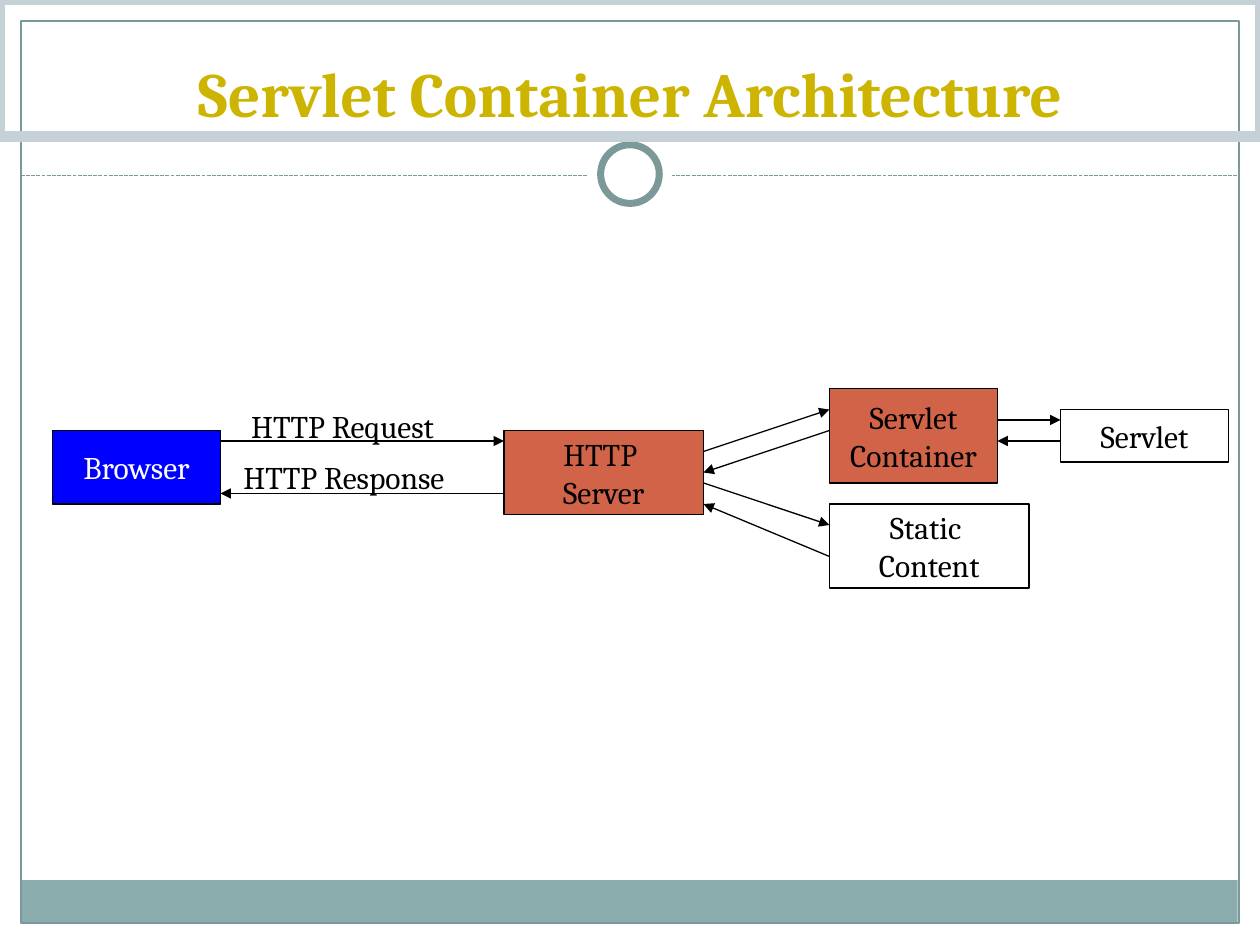
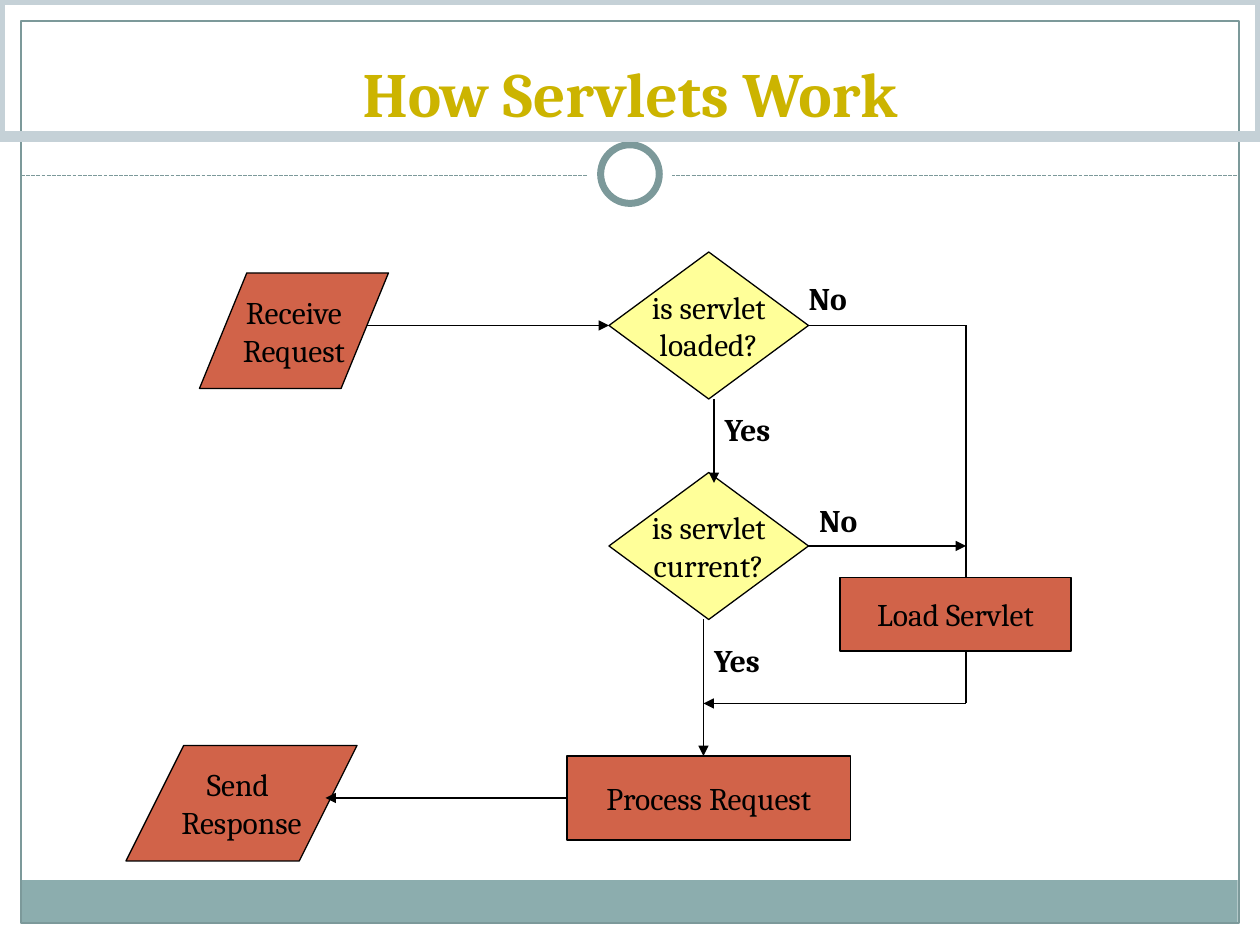
from lxml import etree
from pptx import Presentation
from pptx.dml.color import RGBColor
from pptx.enum import dml, shapes, text
from pptx.oxml.ns import qn
from pptx.util import Pt

W, H = 720, 540
FONT = "Cambria"
BLACK, WHITE, BLUE = "000000", "FFFFFF", "0000FF"
RUST, YELLOW, GOLD = "D16349", "FFFF99", "CCB400"
TEAL, BAND, GREY = "7C999A", "8CADAE", "C5D1D7"

rgb = RGBColor.from_string
KIND = shapes.MSO_SHAPE
RECT, DIAMOND, SLANT, OVAL = KIND.RECTANGLE, KIND.DIAMOND, KIND.PARALLELOGRAM, KIND.OVAL


def add_shape(s, kind, box, fill=None, line=None, weight=0.75):
    sp = s.shapes.add_shape(kind, *map(Pt, box))
    sp.shadow.inherit = False
    if fill:
        sp.fill.solid()
        sp.fill.fore_color.rgb = rgb(fill)
    else:
        sp.fill.background()
    if line:
        sp.line.color.rgb = rgb(line)
        sp.line.width = Pt(weight)
    else:
        sp.line.fill.background()
    return sp


def add_line(s, ends, color, arrow=False):
    cx = s.shapes.add_connector(shapes.MSO_CONNECTOR.STRAIGHT, *map(Pt, ends))
    cx.line.color.rgb = rgb(color)
    cx.line.width = Pt(0.75)
    if arrow:
        etree.SubElement(cx.line._get_or_add_ln(), qn("a:tailEnd"), type="triangle")
    etree.SubElement(cx._element.spPr, qn("a:effectLst"))
    return cx


# Nodes: text, kind, (left, top, width, height), fill, text colour
# Labels: text, (left, top, width)
# Links: (from x, from y, to x, to y), arrowhead
architecture = {
    "title": "Servlet Container Architecture",
    "nodes": [
        ("Browser", RECT, (30, 246, 96, 42), BLUE, WHITE),
        ("HTTP \nServer", RECT, (288, 246, 114, 48), RUST, BLACK),
        ("Static \nContent", RECT, (474, 288, 114, 48), None, BLACK),
        ("Servlet\nContainer", RECT, (474, 222, 96, 54), RUST, BLACK),
        ("Servlet", RECT, (606, 234, 96, 30), None, BLACK),
    ],
    "labels": [
        ("HTTP Request", (136.5, 229, 133)),
        ("HTTP Response", (132, 258, 147.5)),
    ],
    "bold_labels": False,
    "links": [
        ((126, 252, 288, 252), True),
        ((288, 282, 126, 282), True),
        ((402, 258, 474, 234), True),
        ((474, 246, 402, 270), True),
        ((402, 276, 474, 300), True),
        ((474, 318, 402, 288), True),
        ((570, 240, 606, 240), True),
        ((606, 252, 570, 252), True),
    ],
}
workflow = {
    "title": "How Servlets Work",
    "nodes": [
        ("Receive\nRequest", SLANT, (114, 156, 108, 66), RUST, BLACK),
        ("is servlet\nloaded?", DIAMOND, (348, 144, 114, 84), YELLOW, BLACK),
        ("is servlet\ncurrent?", DIAMOND, (348, 270, 114, 84), YELLOW, BLACK),
        ("Send \nResponse", SLANT, (72, 426, 132, 66), RUST, BLACK),
        ("Process Request", RECT, (324, 432, 162, 48), RUST, BLACK),
        ("Load Servlet", RECT, (480, 330, 132, 42), RUST, BLACK),
    ],
    "labels": [
        ("Yes", (407, 231, 47)),
        ("Yes", (401, 363, 47)),
        ("No", (455, 156, 38)),
        ("No", (461, 283, 38)),
    ],
    "bold_labels": True,
    "links": [
        ((210, 186, 348, 186), True),
        ((408, 228, 408, 276), True),
        ((462, 186, 552, 186), False),
        ((552, 186, 552, 330), False),
        ((462, 312, 552, 312), True),
        ((402, 354, 402, 432), True),
        ((552, 372, 552, 402), False),
        ((552, 402, 402, 402), True),
        ((324, 456, 186, 456), True),
    ],
}

prs = Presentation()
prs.slide_width, prs.slide_height = Pt(W), Pt(H)

for content in (architecture, workflow):
    s = prs.slides.add_slide(prs.slide_layouts[6])

    # Shared frame, footer band and divider with its ring
    for margin in ((0, 0, W, 109.5), (0, 0, 12, H), (W - 12, 0, 12, H)):
        add_shape(s, RECT, margin, WHITE)
    add_shape(s, RECT, (11.75, 503, 695.5, 24.5), BAND)
    add_shape(s, RECT, (12, 12, W - 24, 515.5), None, TEAL)
    divider = add_line(s, (12, 100.5, W - 12, 100.5), TEAL)
    divider.line.dash_style = dml.MSO_LINE.SQUARE_DOT
    add_shape(s, OVAL, (336, 75.5, 48, 48), WHITE)
    add_shape(s, OVAL, (343.25, 82.75, 33.5, 33.5), WHITE, TEAL, 4)

    # Each entry: shape, text, size, colour, bold, alignment, anchor
    written = []
    center, middle = text.PP_ALIGN.CENTER, text.MSO_ANCHOR.MIDDLE
    sides = {}
    for words, kind, box, fill, color in content["nodes"]:
        sp = add_shape(s, kind, box, fill, BLACK)
        written.append((sp, words, 18, color, False, center, middle))
        x, y, w, h = box
        if kind == SLANT:
            sp.adjustments[0] = 0.41 if w == 108 else 0.5
        else:
            mids = ((x + w / 2, y), (x, y + h / 2), (x + w / 2, y + h), (x + w, y + h / 2))
            sides.update({mid: (sp, i) for i, mid in enumerate(mids)})

    for ends, arrow in content["links"]:
        cx = add_line(s, ends, BLACK, arrow)
        if ends[:2] in sides:
            cx.begin_connect(*sides[ends[:2]])
        if ends[2:] in sides:
            cx.end_connect(*sides[ends[2:]])

    for words, (x, y, w) in content["labels"]:
        sp = s.shapes.add_textbox(Pt(x), Pt(y), Pt(w), Pt(29))
        written.append((sp, words, 18, BLACK, content["bold_labels"],
                        text.PP_ALIGN.LEFT, text.MSO_ANCHOR.TOP))

    title = add_shape(s, RECT, (0, 0, W, 78), None, GREY, 6)
    written.append((title, content["title"], 36, GOLD, True, center, text.MSO_ANCHOR.BOTTOM))

    for sp, words, size, color, bold, align, anchor in written:
        tf = sp.text_frame
        tf.text = words
        tf.word_wrap = sp is title
        tf.vertical_anchor = anchor
        for p in tf.paragraphs:
            p.alignment = align
            for r in p.runs:
                r.font.name, r.font.size, r.font.bold = FONT, Pt(size), bold
                r.font.color.rgb = rgb(color)

prs.save("out.pptx")
